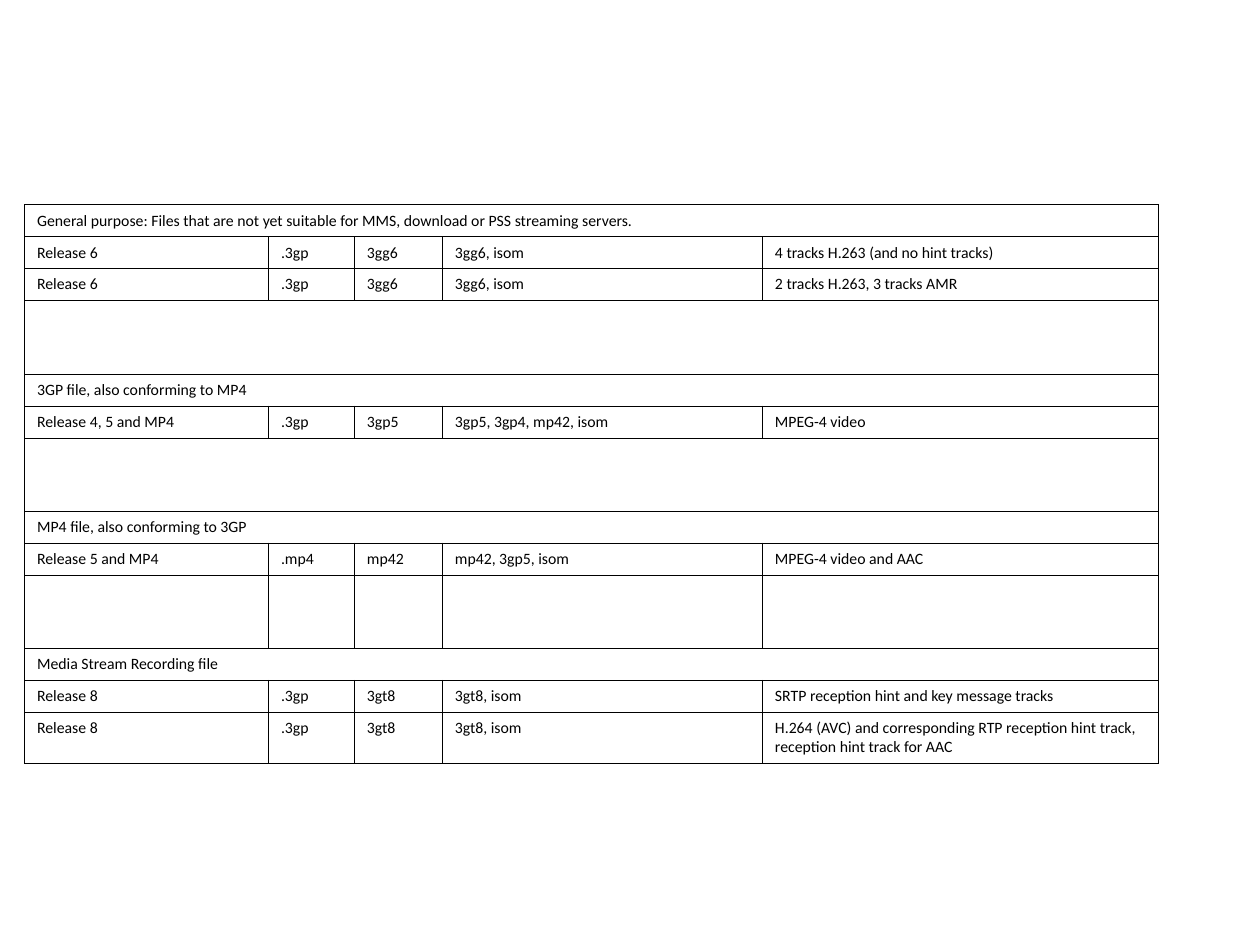
import pptx
import pptx.dml.color
import pptx.oxml
import pptx.oxml.ns
import pptx.util

Pt = pptx.util.Pt

COLORS = {"text": "000000", "border": "000000"}
FONT = {"name": "Calibri", "size": Pt(9), "bold": False}
THIN, THICK = Pt(0.45), Pt(1.08)

TABLE_LEFT, TABLE_TOP = 14, 117
COLUMN_WIDTHS = [139.4, 49.1, 50.3, 182.9, 226.3]
LINE_HEIGHT, TALL_HEIGHT, EMPTY_HEIGHT = 18.3, 29.3, 41.8

# A row with a single text spans all columns.
ROWS = [
    ["General purpose: Files that are not yet suitable for MMS, download or PSS streaming servers."],
    ["Release 6", ".3gp", "3gg6", "3gg6, isom", "4 tracks H.263 (and no hint tracks)"],
    ["Release 6", ".3gp", "3gg6", "3gg6, isom", "2 tracks H.263, 3 tracks AMR"],
    [""],
    ["3GP file, also conforming to MP4"],
    ["Release 4, 5 and MP4", ".3gp", "3gp5", "3gp5, 3gp4, mp42, isom", "MPEG-4 video"],
    [""],
    ["MP4 file, also conforming to 3GP"],
    ["Release 5 and MP4", ".mp4", "mp42", "mp42, 3gp5, isom", "MPEG-4 video and AAC"],
    [""] * 5,
    ["Media Stream Recording file"],
    ["Release 8", ".3gp", "3gt8", "3gt8, isom", "SRTP reception hint and key message tracks"],
    ["Release 8", ".3gp", "3gt8", "3gt8, isom",
     "H.264 (AVC) and corresponding RTP reception hint track, reception hint track for AAC"],
]


def row_height(texts):
    if not any(texts):
        return EMPTY_HEIGHT
    return TALL_HEIGHT if len(texts[-1]) > 60 and len(texts) > 1 else LINE_HEIGHT


def set_borders(cell, right_width):
    properties = cell._tc.get_or_add_tcPr()
    widths = {"lnL": THIN, "lnR": right_width, "lnT": THIN, "lnB": THIN}
    for tag, width in widths.items():
        properties.append(pptx.oxml.parse_xml(
            f'<a:{tag} {pptx.oxml.ns.nsdecls("a")} w="{int(width)}"><a:solidFill>'
            f'<a:srgbClr val="{COLORS["border"]}"/></a:solidFill></a:{tag}>'))


def write_cell(cell, text):
    if not text:
        return
    cell.text = text
    font = cell.text_frame.paragraphs[0].runs[0].font
    for name, value in FONT.items():
        setattr(font, name, value)
    font.color.rgb = pptx.dml.color.RGBColor.from_string(COLORS["text"])


def fill_row(table, index, texts):
    cells = list(table.rows[index].cells)
    spans_all = len(texts) == 1
    for cell in cells:
        set_borders(cell, THICK if spans_all else THIN)
        cell.fill.background()
    if spans_all:
        cells[0].merge(cells[-1])
    for cell, text in zip(cells, texts):
        write_cell(cell, text)


def add_file_table(slide):
    heights = [row_height(texts) for texts in ROWS]
    table = slide.shapes.add_table(
        len(ROWS), len(COLUMN_WIDTHS), Pt(TABLE_LEFT), Pt(TABLE_TOP),
        Pt(sum(COLUMN_WIDTHS)), Pt(sum(heights))).table
    table.first_row = table.horz_banding = False
    for column, width in zip(table.columns, COLUMN_WIDTHS):
        column.width = Pt(width)
    for index, (texts, height) in enumerate(zip(ROWS, heights)):
        table.rows[index].height = Pt(height)
        fill_row(table, index, texts)


def main():
    presentation = pptx.Presentation()
    presentation.slide_width, presentation.slide_height = Pt(720), Pt(540)
    slide = presentation.slides.add_slide(presentation.slide_layouts[6])
    add_file_table(slide)
    presentation.save("out.pptx")


if __name__ == "__main__":
    main()
